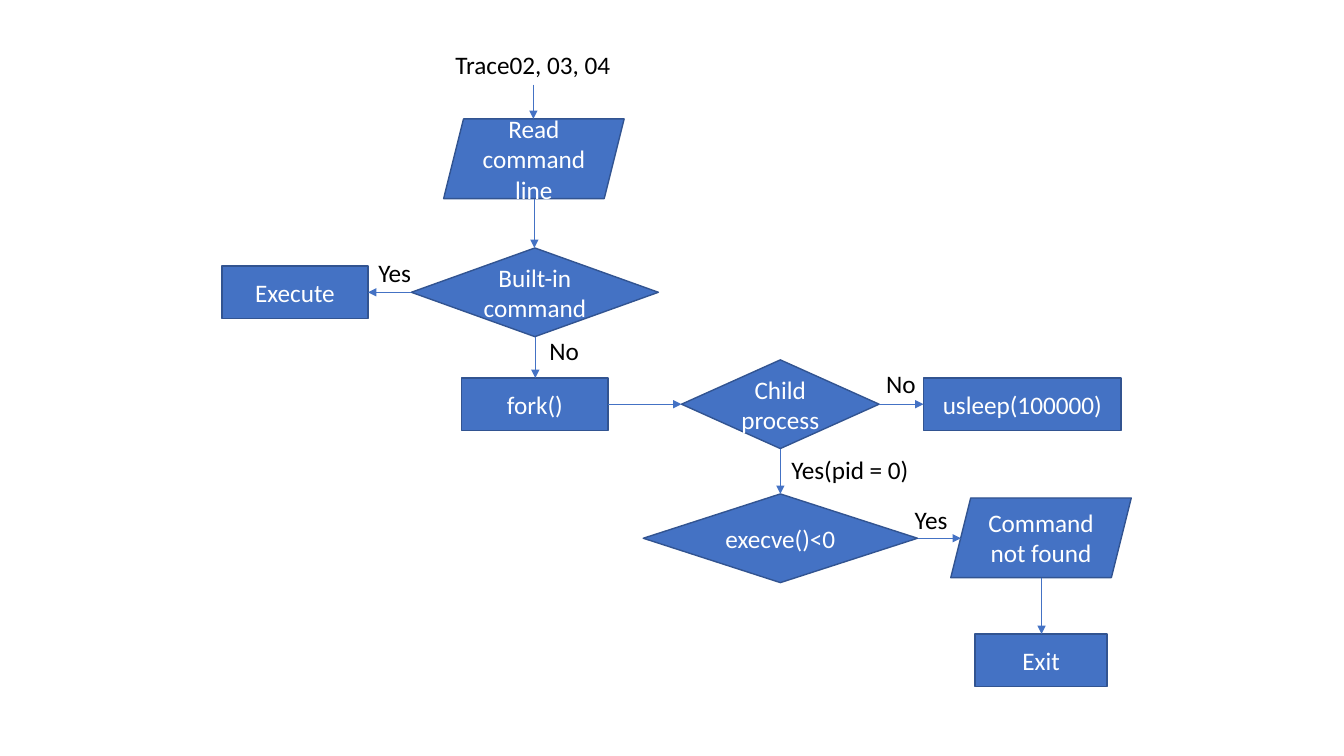
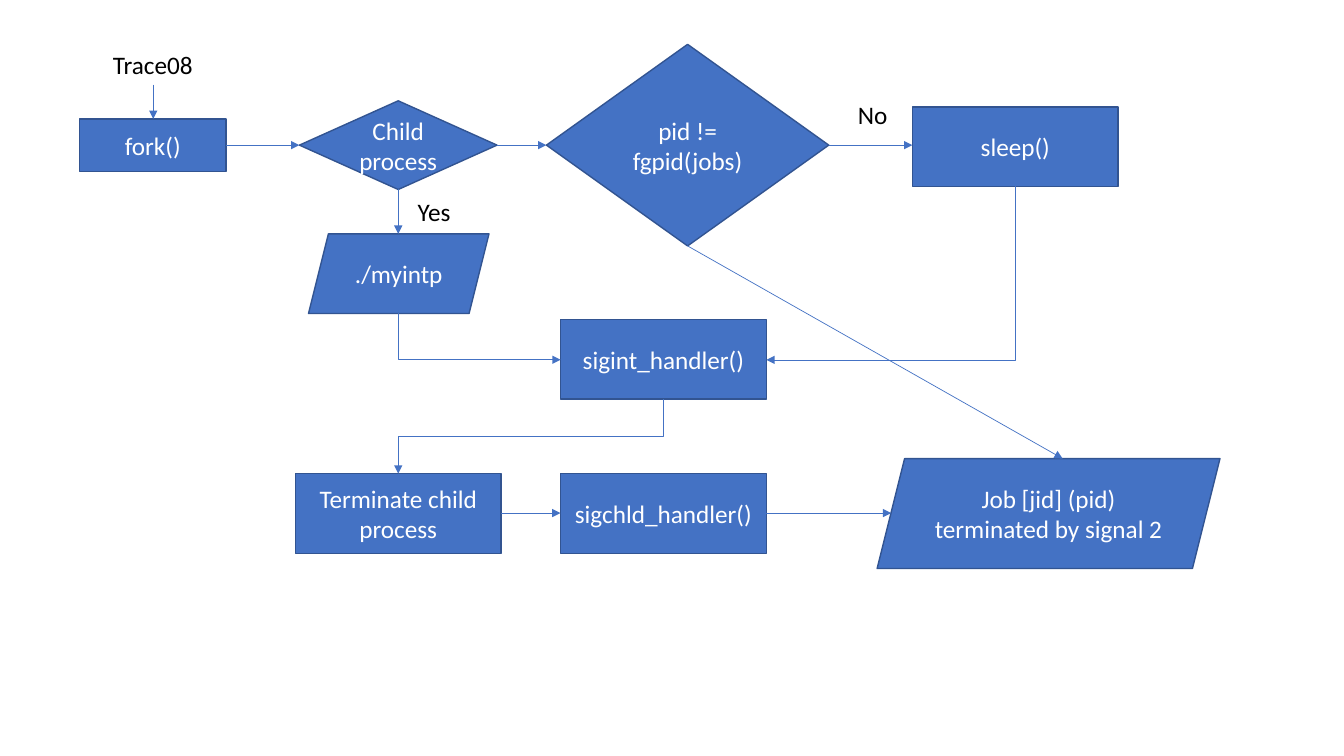
"""Build two flowcharts that trace how a small shell handles commands and signals."""
import dataclasses

import lxml.etree
import pptx
import pptx.dml.color
import pptx.enum.shapes
import pptx.enum.text
import pptx.oxml.ns
import pptx.util

Inches = pptx.util.Inches
MSO_SHAPE = pptx.enum.shapes.MSO_SHAPE
MSO_CONNECTOR = pptx.enum.shapes.MSO_CONNECTOR


@dataclasses.dataclass(frozen=True)
class Theme:
    fill: pptx.dml.color.RGBColor = pptx.dml.color.RGBColor(0x44, 0x72, 0xC4)
    outline: pptx.dml.color.RGBColor = pptx.dml.color.RGBColor(0x32, 0x54, 0x91)
    node_text: pptx.dml.color.RGBColor = pptx.dml.color.RGBColor(0xFF, 0xFF, 0xFF)
    label_text: pptx.dml.color.RGBColor = pptx.dml.color.RGBColor(0, 0, 0)
    font: str = "Calibri"
    text_size: pptx.util.Pt = pptx.util.Pt(18)
    outline_width: pptx.util.Pt = pptx.util.Pt(1)
    arrow_width: pptx.util.Pt = pptx.util.Pt(0.5)


theme = Theme()


def write_text(shape, text, color):
    shape.text_frame.word_wrap = True
    shape.text_frame.text = text
    paragraph = shape.text_frame.paragraphs[0]
    paragraph.alignment = pptx.enum.text.PP_ALIGN.CENTER
    font = paragraph.runs[0].font
    font.name, font.size, font.color.rgb = theme.font, theme.text_size, color


def add_arrow(slide, start_x, start_y, end_x, end_y, bend=None):
    """Draw an arrow; a bend preset makes it leave downwards and turn."""
    if bend is None:
        connector = slide.shapes.add_connector(
            MSO_CONNECTOR.STRAIGHT, *map(Inches, (start_x, start_y, end_x, end_y)))
    else:
        center_x, center_y = (start_x + end_x) / 2, (start_y + end_y) / 2
        half_width, half_height = abs(end_y - start_y) / 2, abs(end_x - start_x) / 2
        connector = slide.shapes.add_connector(
            MSO_CONNECTOR.ELBOW,
            Inches(center_x - half_width), Inches(center_y - half_height),
            Inches(center_x + half_width), Inches(center_y + half_height))
        properties = connector._element.spPr
        properties.find(pptx.oxml.ns.qn("a:prstGeom")).set("prst", bend)
        transform = properties.find(pptx.oxml.ns.qn("a:xfrm"))
        if end_x > start_x:
            transform.set("rot", str(270 * 60000))
            transform.set("flipH", "1")
        else:
            transform.set("rot", str(90 * 60000))
    connector.line.color.rgb = theme.fill
    connector.line.width = theme.arrow_width
    properties = connector._element.spPr
    line = properties.find(pptx.oxml.ns.qn("a:ln"))
    lxml.etree.SubElement(line, pptx.oxml.ns.qn("a:tailEnd"), type="triangle")
    lxml.etree.SubElement(properties, pptx.oxml.ns.qn("a:effectLst"))


process = MSO_SHAPE.RECTANGLE
decision = MSO_SHAPE.FLOWCHART_DECISION
data = MSO_SHAPE.PARALLELOGRAM

small_process = (1.45, 0.52)
large_process = (2.04, 0.79)
small_decision = (1.96, 0.88)
small_data = (1.79, 0.79)
label_height = 0.4

command_chart = {
    "nodes": [
        (data, "Read command line", 4.4, 1.18, small_data),
        (decision, "Built-in command", 4.08, 2.46, (2.45, 0.88)),
        (process, "Execute", 2.2, 2.64, small_process),
        (process, "fork()", 4.58, 3.75, small_process),
        (decision, "Child process", 6.76, 3.57, small_decision),
        (process, "usleep(100000)", 9.16, 3.75, (1.96, 0.52)),
        (decision, "execve()<0", 6.38, 4.9, (2.72, 0.88)),
        (data, "Command not found", 9.43, 4.94, small_data),
        (process, "Exit", 9.67, 6.29, (1.31, 0.52)),
    ],
    "labels": [
        ("Trace02, 03, 04", 4.33, 0.44, 1.91),
        ("Yes", 3.63, 2.5, 0.57),
        ("No", 5.31, 3.28, 0.57),
        ("No", 8.65, 3.6, 0.57),
        ("Yes(pid = 0)", 7.73, 4.46, 1.4),
        ("Yes", 8.95, 4.95, 0.57),
    ],
    "arrows": [
        (5.29, 0.84, 5.29, 1.18),
        (5.3, 1.97, 5.3, 2.46),
        (4.08, 2.9, 3.65, 2.9),
        (5.31, 3.34, 5.31, 3.75),
        (6.03, 4.01, 6.76, 4.01),
        (8.72, 4.01, 9.16, 4.01),
        (7.74, 4.45, 7.74, 4.9),
        (9.1, 5.34, 9.53, 5.34),
        (10.33, 5.73, 10.33, 6.29),
    ],
}

signal_chart = {
    "nodes": [
        (process, "fork()", 0.79, 1.18, small_process),
        (decision, "Child process", 2.97, 1, small_decision),
        (decision, "pid != fgpid(jobs)", 5.42, 0.44, (2.8, 2)),
        (process, "sleep()", 9.05, 1.06, large_process),
        (data, "./myintp", 3.06, 2.32, small_data),
        (process, "sigint_handler()", 5.56, 3.17, large_process),
        (process, "Terminate child process", 2.93, 4.7, large_process),
        (process, "sigchld_handler()", 5.56, 4.7, large_process),
        (data, "Job [jid] (pid) terminated by signal 2", 8.7, 4.55, (3.4, 1.09)),
    ],
    "labels": [
        ("Trace08", 0.56, 0.44, 1.91),
        ("Yes", 3.84, 1.9, 0.93),
        ("No", 8.37, 0.94, 0.57),
    ],
    "arrows": [
        (1.52, 0.84, 1.52, 1.18),
        (2.24, 1.44, 2.97, 1.44),
        (4.93, 1.44, 5.42, 1.44),
        (8.22, 1.44, 9.05, 1.44),
        (3.95, 1.88, 3.95, 2.32),
        (6.82, 2.44, 10.54, 4.55),
        (3.95, 3.11, 5.56, 3.57, "bentConnector2"),
        (10.07, 1.85, 7.6, 3.57, "bentConnector2"),
        (6.58, 3.96, 3.95, 4.7, "bentConnector3"),
        (4.97, 5.09, 5.56, 5.09),
        (7.6, 5.09, 8.84, 5.09),
    ],
}

presentation = pptx.Presentation()
presentation.slide_width = Inches(13.33)
presentation.slide_height = Inches(7.5)
blank_layout = presentation.slide_layouts.get_by_name("Blank")

for chart in (command_chart, signal_chart):
    slide = presentation.slides.add_slide(blank_layout)

    for kind, text, left, top, size in chart["nodes"]:
        node = slide.shapes.add_shape(kind, *map(Inches, (left, top, *size)))
        node.shadow.inherit = False
        node.fill.solid()
        node.fill.fore_color.rgb = theme.fill
        node.line.color.rgb = theme.outline
        node.line.width = theme.outline_width
        node.text_frame.vertical_anchor = pptx.enum.text.MSO_ANCHOR.MIDDLE
        write_text(node, text, theme.node_text)

    for text, left, top, width in chart["labels"]:
        label = slide.shapes.add_textbox(*map(Inches, (left, top, width, label_height)))
        label.text_frame.auto_size = pptx.enum.text.MSO_AUTO_SIZE.SHAPE_TO_FIT_TEXT
        write_text(label, text, theme.label_text)

    for arrow in chart["arrows"]:
        add_arrow(slide, *arrow)

presentation.save("out.pptx")
